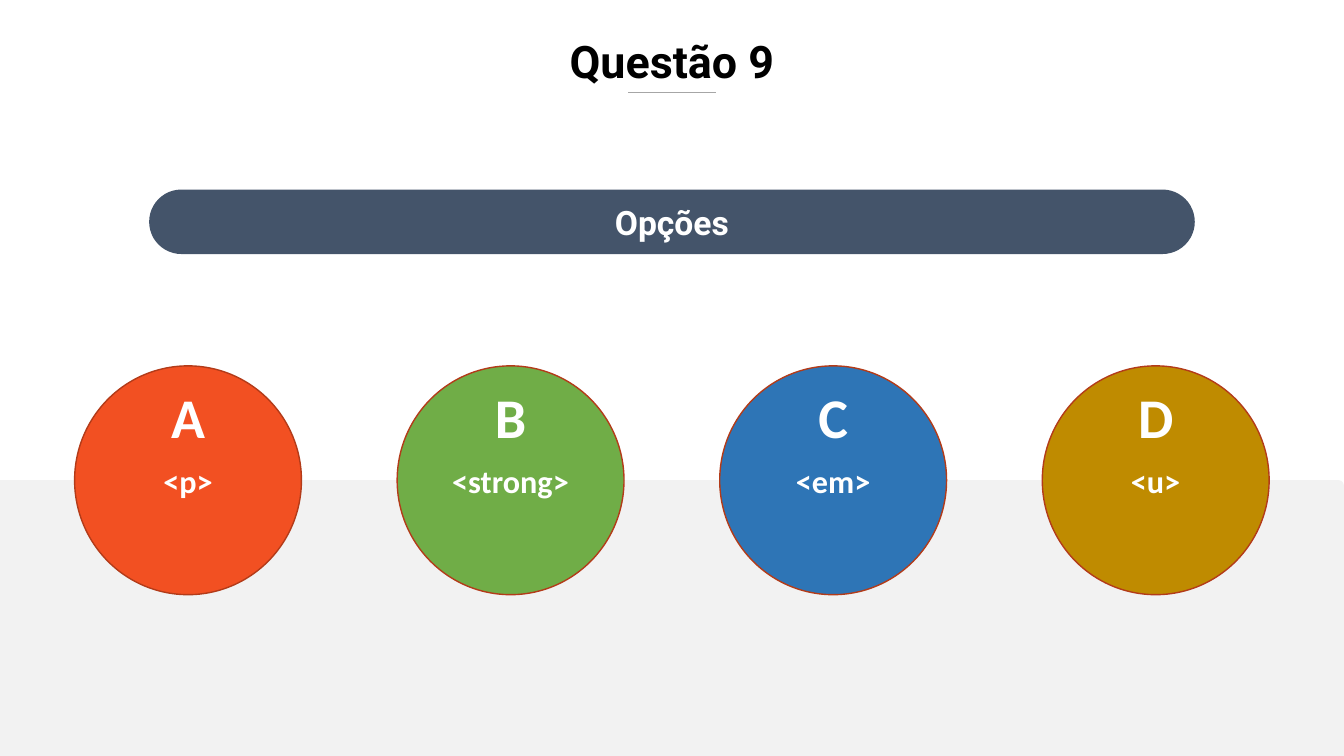
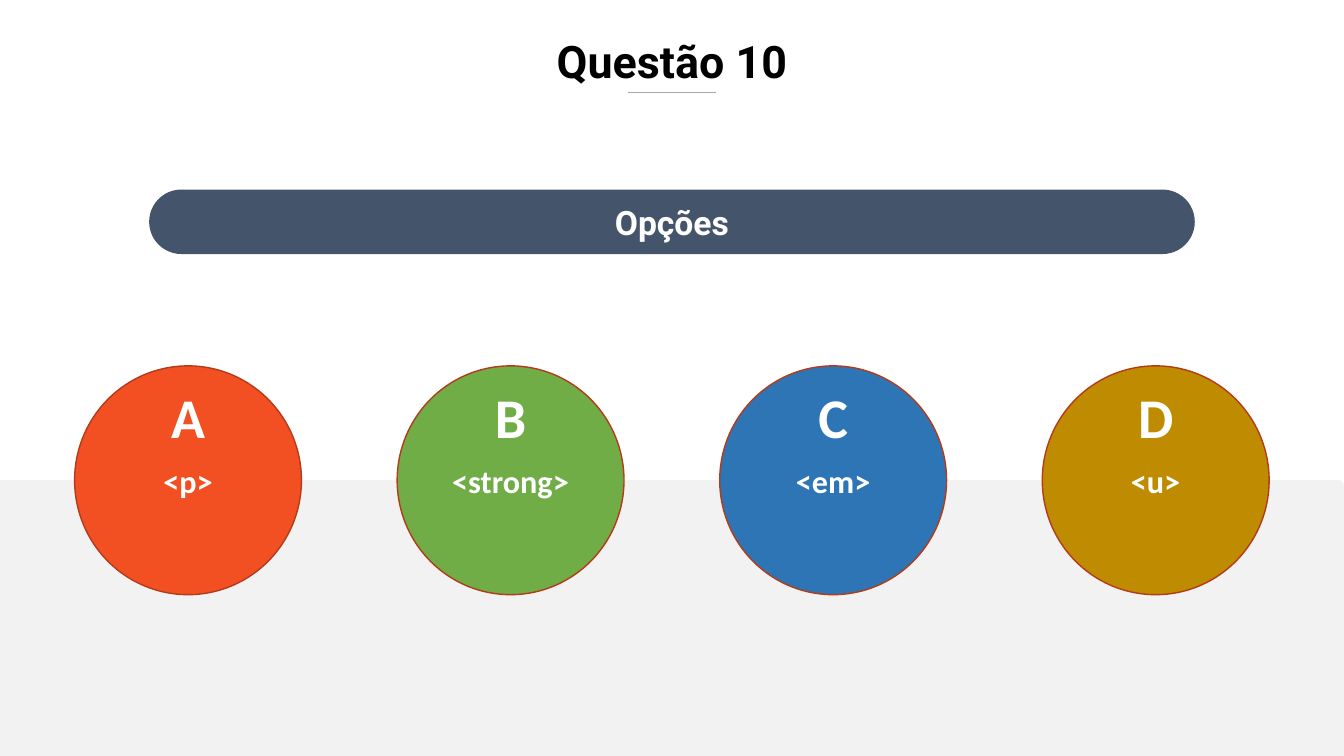
import pptx
import pptx.util
import pptx.dml.color
import pptx.enum.shapes
import pptx.enum.text
import pptx.oxml.ns
import lxml.etree

COLORS = {
    "title": "000000", "text": "FFFFFF", "band": "F2F2F2", "bar": "44546A",
    "rule": "A6A6A6", "outline": "B33B19",
    "A": "F25022", "B": "70AD47", "C": "2E75B6", "D": "BF8B00",
}
HEADING_FONT, OPTION_FONT = "Roboto", "Calibri"
QUESTIONS = [
    ("Questão 9", ["<p>", "<strong>", "<em>", "<u>"]),
    ("Questão 10", ["<p>", "<strong>", "<em>", "<u>"]),
]
SHAPES = pptx.enum.shapes.MSO_SHAPE
ANCHOR = pptx.enum.text.MSO_ANCHOR
rgb = pptx.dml.color.RGBColor.from_string

prs = pptx.Presentation()
prs.slide_width = pptx.util.Inches(13.33)
prs.slide_height = pptx.util.Inches(7.5)


def place(x, y, w, h):
    """Turn percentages of the slide's width and height into lengths."""
    col, row = prs.slide_width / 100, prs.slide_height / 100
    return [pptx.util.Emu(round(n)) for n in (x * col, y * row, w * col, h * row)]


def write(sp, text, size, font, color="text", anchor=ANCHOR.MIDDLE, wrap=True):
    """Put one bold, centred line of text into a shape."""
    tf = sp.text_frame
    tf.word_wrap = wrap
    tf.auto_size = pptx.enum.text.MSO_AUTO_SIZE.NONE
    tf.vertical_anchor = anchor
    p = tf.paragraphs[0]
    p.alignment = pptx.enum.text.PP_ALIGN.CENTER
    r = p.add_run()
    r.text = text
    r.font.size = pptx.util.Pt(size)
    r.font.name = font
    r.font.bold = True
    r.font.color.rgb = rgb(COLORS[color])


# Percent of slide width (x) or height (y)
CIRCLE_X, CIRCLE_Y, CIRCLE_W, CIRCLE_H = 5.55, 48.4, 16.88, 30.27
CIRCLE_STEP = 24
LETTER_W = 4

for title, options in QUESTIONS:
    s = prs.slides.add_slide(prs.slide_layouts[5])
    heading = s.shapes.title
    heading.left, heading.top, heading.width, heading.height = place(25, 3.73, 50, 8.53)
    write(heading, title, 32, HEADING_FONT, color="title", anchor=ANCHOR.TOP)

    band = s.shapes.add_shape(SHAPES.ROUND_1_RECTANGLE, *place(0, 63.5, 100, 36.5))
    band.adjustments[0] = 0.02
    bar = s.shapes.add_shape(SHAPES.ROUNDED_RECTANGLE, *place(11.1, 25.07, 77.8, 8.53))
    bar.adjustments[0] = 0.5
    for sp, color in ((band, "band"), (bar, "bar")):
        sp.shadow.inherit = False
        sp.fill.solid()
        sp.fill.fore_color.rgb = rgb(COLORS[color])
        sp.line.fill.background()
    write(bar, "Opções", 24, HEADING_FONT)

    x, y, w, h = place(46.75, 12.27, 6.5, 0)
    rule = s.shapes.add_connector(pptx.enum.shapes.MSO_CONNECTOR.STRAIGHT, x, y, x + w, y)
    rule.line.color.rgb = rgb(COLORS["rule"])
    rule.line.width = pptx.util.Pt(0.5)
    lxml.etree.SubElement(rule._element.spPr, pptx.oxml.ns.qn("a:effectLst"))

    for i, (letter, option) in enumerate(zip("ABCD", options)):
        x = CIRCLE_X + i * CIRCLE_STEP
        circle = s.shapes.add_shape(SHAPES.OVAL, *place(x, CIRCLE_Y, CIRCLE_W, CIRCLE_H))
        circle.shadow.inherit = False
        circle.fill.solid()
        circle.fill.fore_color.rgb = rgb(COLORS[letter])
        circle.line.color.rgb = rgb(COLORS["outline"])
        circle.line.width = pptx.util.Pt(1)
        write(circle, option, 23, OPTION_FONT)

        letter_x = x + (CIRCLE_W - LETTER_W) / 2
        label = s.shapes.add_textbox(*place(letter_x, 50, LETTER_W, 10.27))
        write(label, letter, 40, OPTION_FONT, anchor=ANCHOR.TOP, wrap=False)

prs.save("out.pptx")
